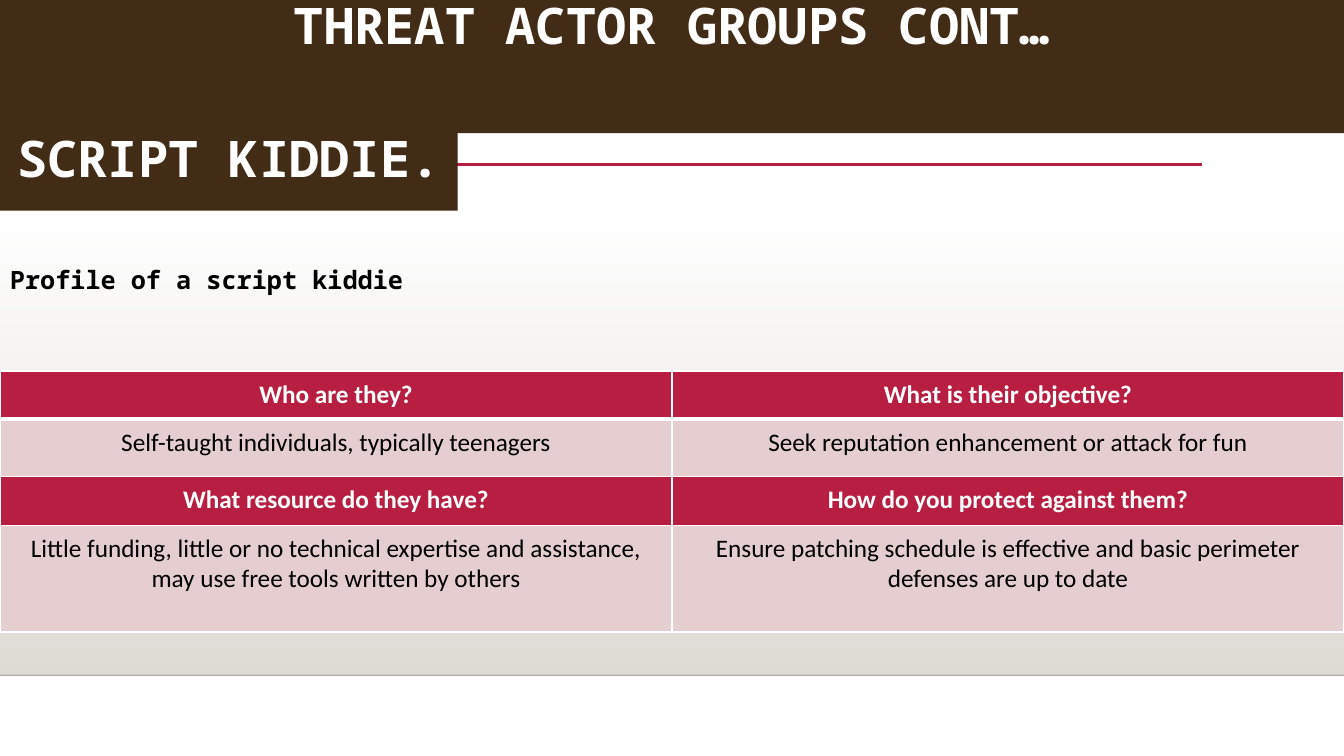
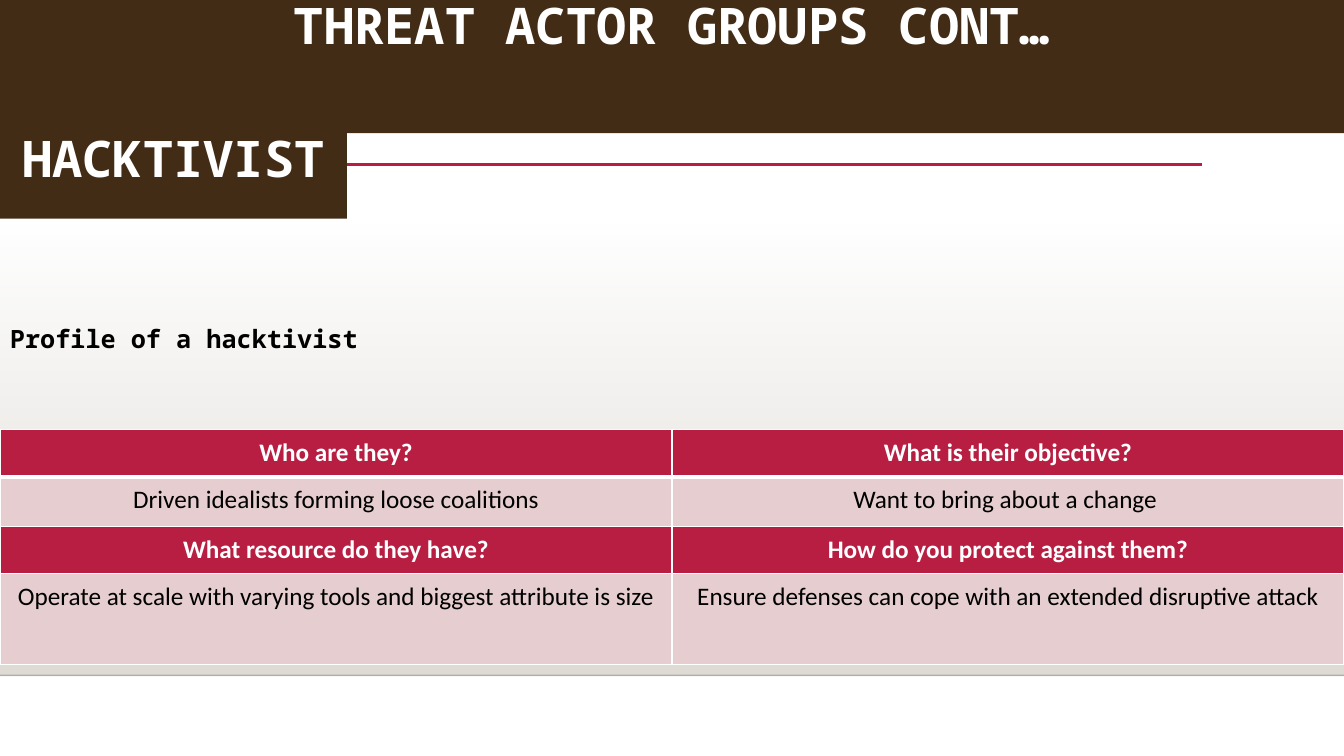
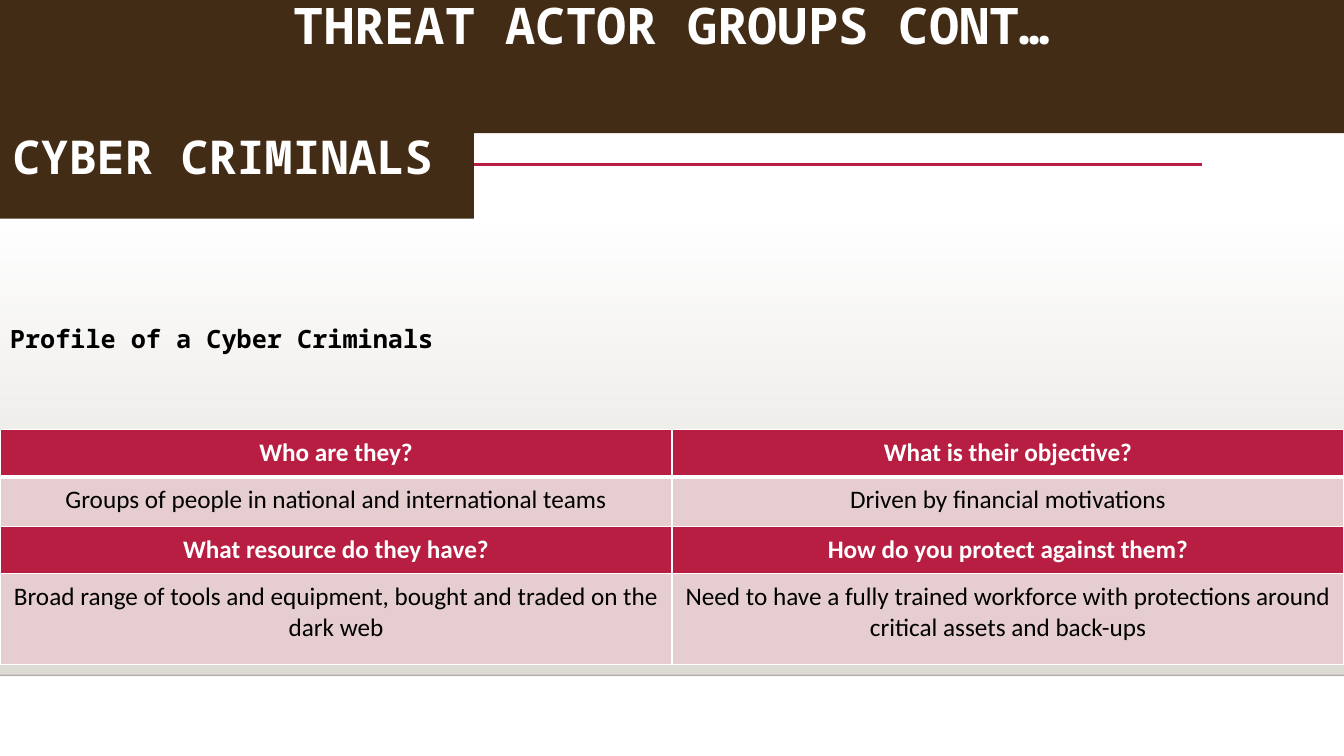
from dataclasses import dataclass

from lxml.etree import SubElement
from pptx import Presentation
from pptx.dml.color import RGBColor
from pptx.enum.shapes import MSO_CONNECTOR, MSO_SHAPE
from pptx.enum.text import MSO_ANCHOR, PP_ALIGN
from pptx.oxml.ns import qn
from pptx.util import Inches, Pt

BROWN = RGBColor(0x42, 0x2C, 0x16)
CRIMSON = RGBColor(0xB7, 0x1E, 0x42)
ROSE = RGBColor(0xE6, 0xCD, 0xCF)
STONE = RGBColor(0xDF, 0xDB, 0xD5)
WHITE = RGBColor(0xFF, 0xFF, 0xFF)
BLACK = RGBColor(0x00, 0x00, 0x00)
NEAR_BLACK = RGBColor(0x00, 0x00, 0x01)

HEADING_FONT = "Noto Sans Mono"
TABLE_FONT = "Calibri"
SLIDE_WIDTH, SLIDE_HEIGHT = 13.33, 7.5
BAND_HEIGHT = 1.32
DECK_TITLE = "THREAT ACTOR GROUPS CONT…"
QUESTIONS = (
    ("Who are they?", "What is their objective?"),
    ("What resource do they have?", "How do you protect against them?"),
)


@dataclass
class Actor:
    """One threat actor group and the measures of its slide."""

    tab: str
    tab_size: float
    tab_box: tuple
    profile: str
    profile_box: tuple
    profile_inset: float
    table_top: float
    row_heights: tuple
    answers: tuple


SCRIPT_KIDDIE = Actor(
    tab="SCRIPT KIDDIE.",
    tab_size=36,
    tab_box=(0, BAND_HEIGHT, 4.54, 0.77),
    profile="Profile of a script kiddie",
    profile_box=(0, 2.1, SLIDE_WIDTH, 1.73),
    profile_inset=0.52,
    table_top=3.68,
    row_heights=(0.48, 0.57, 0.48, 1.06),
    answers=(
        ("Self-taught individuals, typically teenagers",
         "Seek reputation enhancement or attack for fun"),
        ("Little funding, little or no technical expertise and assistance, "
         "may use free tools written by others",
         "Ensure patching schedule is effective and basic perimeter "
         "defenses are up to date"),
    ),
)

LOWER_LAYOUT = dict(
    profile_box=(0, 2.18, SLIDE_WIDTH, 2.09),
    profile_inset=1.03,
    table_top=4.26,
    row_heights=(0.47, 0.49, 0.47, 0.9),
)

HACKTIVIST = Actor(
    tab="HACKTIVIST",
    tab_size=36,
    tab_box=(0, BAND_HEIGHT, 3.44, 0.85),
    profile="Profile of a hacktivist",
    answers=(
        ("Driven idealists forming loose coalitions",
         "Want to bring about a change "),
        ("Operate at scale with varying tools and biggest attribute is size",
         "Ensure defenses can cope with an extended disruptive attack"),
    ),
    **LOWER_LAYOUT,
)

CYBER_CRIMINALS = Actor(
    tab="CYBER CRIMINALS ",
    tab_size=33.3,
    tab_box=(0, BAND_HEIGHT, 4.7, 0.85),
    profile="Profile of a Cyber Criminals",
    answers=(
        ("Groups of people in national and international teams",
         "Driven by financial motivations"),
        ("Broad range of tools and equipment, bought and traded on the dark web",
         "Need to have a fully trained workforce with protections around "
         "critical assets and back-ups"),
    ),
    **LOWER_LAYOUT,
)


def inches(box):
    """Turn a box in inches into lengths."""
    return [Inches(length) for length in box]


def set_alpha(colour, percent):
    """Give a colour element an opacity in percent."""
    SubElement(colour, qn("a:alpha")).set("val", str(percent * 1000))


def write(frame, text, font_name, size, colour, bold, align):
    """Fill a text frame with one formatted paragraph."""
    frame.word_wrap = True
    frame.text = text
    paragraph = frame.paragraphs[0]
    paragraph.alignment = align
    font = paragraph.runs[0].font
    font.name, font.size, font.bold = font_name, Pt(size), bold
    font.color.rgb = colour
    return paragraph


def add_rule(slide, left, right, y, colour, width):
    """Draw a horizontal rule without shadow and return it."""
    rule = slide.shapes.add_connector(
        MSO_CONNECTOR.STRAIGHT, *inches((left, y, right, y)))
    rule.line.color.rgb = colour
    rule.line.width = Pt(width)
    SubElement(rule._element.spPr, qn("a:effectLst"))
    return rule


def add_backdrop(slide):
    """Draw the fading floor and the two rules."""
    floor_top, floor_bottom = 2.21, 6.7
    floor = slide.shapes.add_shape(
        MSO_SHAPE.RECTANGLE,
        *inches((0, floor_top, SLIDE_WIDTH, floor_bottom - floor_top)))
    floor.shadow.inherit = False
    floor.line.fill.background()
    floor.fill.gradient()
    floor.fill.gradient_angle = 270
    for stop in floor.fill.gradient_stops:
        stop.color.rgb = STONE
    set_alpha(floor._element.xpath(".//a:gs/a:srgbClr")[0], 0)
    edge = add_rule(slide, 0, SLIDE_WIDTH, floor_bottom, NEAR_BLACK, 1)
    set_alpha(edge._element.xpath(".//a:ln//a:srgbClr")[0], 20)
    add_rule(slide, 1.41, 11.92, 1.63, CRIMSON, 2.5)


def add_band(slide, box, text, size):
    """Draw a brown band with a white heading at its top."""
    band = slide.shapes.add_shape(MSO_SHAPE.RECTANGLE, *inches(box))
    band.shadow.inherit = False
    band.fill.solid()
    band.fill.fore_color.rgb = BROWN
    band.line.fill.background()
    frame = band.text_frame
    frame.vertical_anchor = MSO_ANCHOR.TOP
    frame.margin_top = Inches(0.01)
    heading = write(frame, text, HEADING_FONT, size, WHITE, True, PP_ALIGN.CENTER)
    heading.line_spacing = 0.9


def add_profile(slide, box, text, inset):
    """Write the profile line, lowered by the inset within its box."""
    frame = slide.shapes.add_textbox(*inches(box)).text_frame
    frame.margin_top = Inches(inset)
    write(frame, text, HEADING_FONT, 18, BLACK, True, PP_ALIGN.LEFT)


def add_borders(cell, widths):
    """Give a cell white borders, with a width in points for each side."""
    properties = cell._tc.get_or_add_tcPr()
    for side, width in widths.items():
        border = SubElement(properties, qn(f"a:ln{side}"), w=str(Pt(width)))
        fill = SubElement(border, qn("a:solidFill"))
        SubElement(fill, qn("a:srgbClr"), val=str(WHITE))


def add_profile_table(slide, top, row_heights, answers):
    """Build the table that alternates questions and answers."""
    rows = [row for pair in zip(QUESTIONS, answers) for row in pair]
    box = (0, top, SLIDE_WIDTH, sum(row_heights))
    table = slide.shapes.add_table(len(rows), 2, *inches(box)).table
    for column in table.columns:
        column.width = Inches(SLIDE_WIDTH / 2)
    for index, (texts, height) in enumerate(zip(rows, row_heights)):
        table.rows[index].height = Inches(height)
        is_question = index % 2 == 0
        borders = {"L": 1, "R": 1,
                   "T": 3 if index == 1 else 1,
                   "B": 3 if index == 0 else 1}
        for cell, text in zip(table.rows[index].cells, texts):
            add_borders(cell, borders)
            cell.fill.solid()
            cell.fill.fore_color.rgb = CRIMSON if is_question else ROSE
            cell.margin_left = cell.margin_right = Inches(0.08)
            cell.margin_top = cell.margin_bottom = Inches(0.08)
            write(cell.text_frame, text, TABLE_FONT, 18,
                  WHITE if is_question else BLACK, is_question, PP_ALIGN.CENTER)


def add_actor_slide(deck, actor):
    """Add the slide of one threat actor group."""
    slide = deck.slides.add_slide(deck.slide_layouts[6])
    add_backdrop(slide)
    add_band(slide, (0, 0, SLIDE_WIDTH, BAND_HEIGHT), DECK_TITLE, 36)
    add_profile(slide, actor.profile_box, actor.profile, actor.profile_inset)
    add_profile_table(slide, actor.table_top, actor.row_heights, actor.answers)
    add_band(slide, actor.tab_box, actor.tab, actor.tab_size)


def main():
    """Build and save the deck."""
    deck = Presentation()
    deck.slide_width, deck.slide_height = inches((SLIDE_WIDTH, SLIDE_HEIGHT))
    for actor in (SCRIPT_KIDDIE, HACKTIVIST, CYBER_CRIMINALS):
        add_actor_slide(deck, actor)
    deck.save("out.pptx")


if __name__ == "__main__":
    main()
